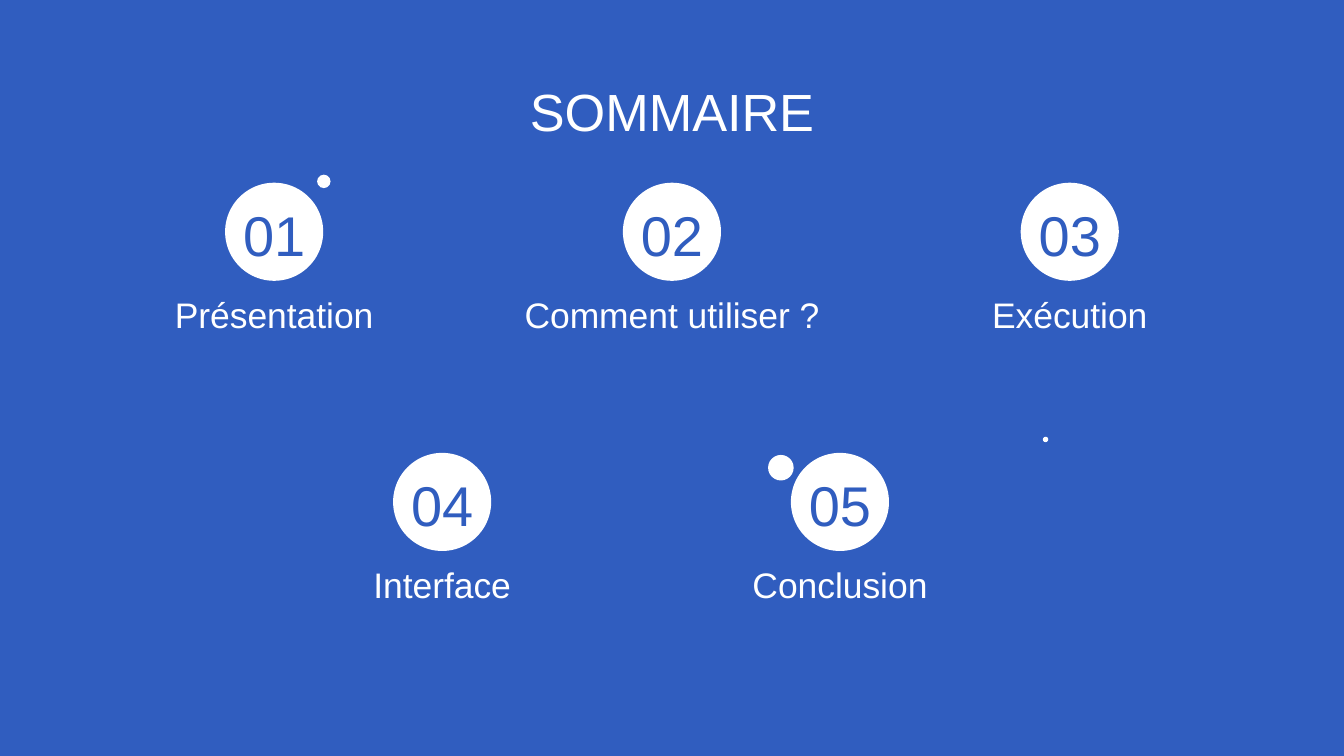
import pptx
import pptx.util
import pptx.dml.color
import pptx.enum.shapes
import pptx.enum.text

WIDTH = 10
HEIGHT = WIDTH * 9 / 16
TITLE = "SOMMAIRE"
ROWS = [  # centre of the row, top of its circles, labels
    (5, 1.36, ["Présentation", "Comment utiliser ?", "Exécution"]),
    (4.77, 3.37, ["Interface", "Conclusion"]),
]
DOTS = [(2.41, 1.35, 0.1), (7.78, 3.27, 0.04), (5.81, 3.48, 0.19)]  # centre x, y, size
PITCH = 2.96
CIRCLE = 0.73
LABEL_W, LABEL_H = 2.65, 0.46

THEME = {
    "font": "Arial", "blue": "305DBF", "white": "FFFFFF",
    "title": 28, "number": 30, "label": 19,
}
ANCHOR = pptx.enum.text.MSO_ANCHOR


def rgb(name):
    """Return a theme colour."""
    return pptx.dml.color.RGBColor.from_string(THEME[name])


def box(x, y, w, h):
    """Turn a box in inches into slide lengths."""
    return [pptx.util.Inches(v) for v in (x, y, w, h)]


def write(sp, text, size="label", color="white", anchor=ANCHOR.TOP):
    """Put centred, formatted text into a shape."""
    tf = sp.text_frame
    tf.word_wrap = True
    tf.auto_size = pptx.enum.text.MSO_AUTO_SIZE.NONE
    tf.vertical_anchor = anchor
    tf.margin_left = tf.margin_right = pptx.util.Inches(0.1)
    tf.margin_top = tf.margin_bottom = pptx.util.Inches(0.1)
    p = tf.paragraphs[0]
    p.alignment = pptx.enum.text.PP_ALIGN.CENTER
    r = p.add_run()
    r.text = text
    r.font.name = THEME["font"]
    r.font.size = pptx.util.Pt(THEME[size])
    r.font.color.rgb = rgb(color)


def add_disc(s, cx, cy, size):
    """Draw a white disc around a centre point."""
    sp = s.shapes.add_shape(pptx.enum.shapes.MSO_SHAPE.OVAL,
                            *box(cx - size / 2, cy - size / 2, size, size))
    sp.shadow.inherit = False
    sp.fill.solid()
    sp.fill.fore_color.rgb = rgb("white")
    sp.line.fill.background()


def add_entry(s, number, label, cx, top):
    """Draw one numbered entry of the summary."""
    add_disc(s, cx, top + CIRCLE / 2, CIRCLE)
    write(s.shapes.add_textbox(*box(cx - CIRCLE / 2, top, CIRCLE, CIRCLE)),
          f"{number:02d}", size="number", color="blue", anchor=ANCHOR.BOTTOM)
    write(s.shapes.add_textbox(*box(cx - LABEL_W / 2, top + CIRCLE - 0.01, LABEL_W, LABEL_H)),
          label)


prs = pptx.Presentation()
prs.slide_width, prs.slide_height = pptx.util.Inches(WIDTH), pptx.util.Inches(HEIGHT)
s = prs.slides.add_slide(prs.slide_layouts[5])
s.background.fill.solid()
s.background.fill.fore_color.rgb = rgb("blue")

title = s.shapes.title
title.left, title.top, title.width, title.height = box(0.34, 0.49, WIDTH - 2 * 0.34, 0.63)
write(title, TITLE, size="title")

number = 0
for center, top, labels in ROWS:
    for col, label in enumerate(labels):
        number += 1
        add_entry(s, number, label, center + (col - (len(labels) - 1) / 2) * PITCH, top)

for dot in DOTS:
    add_disc(s, *dot)

prs.save("out.pptx")
